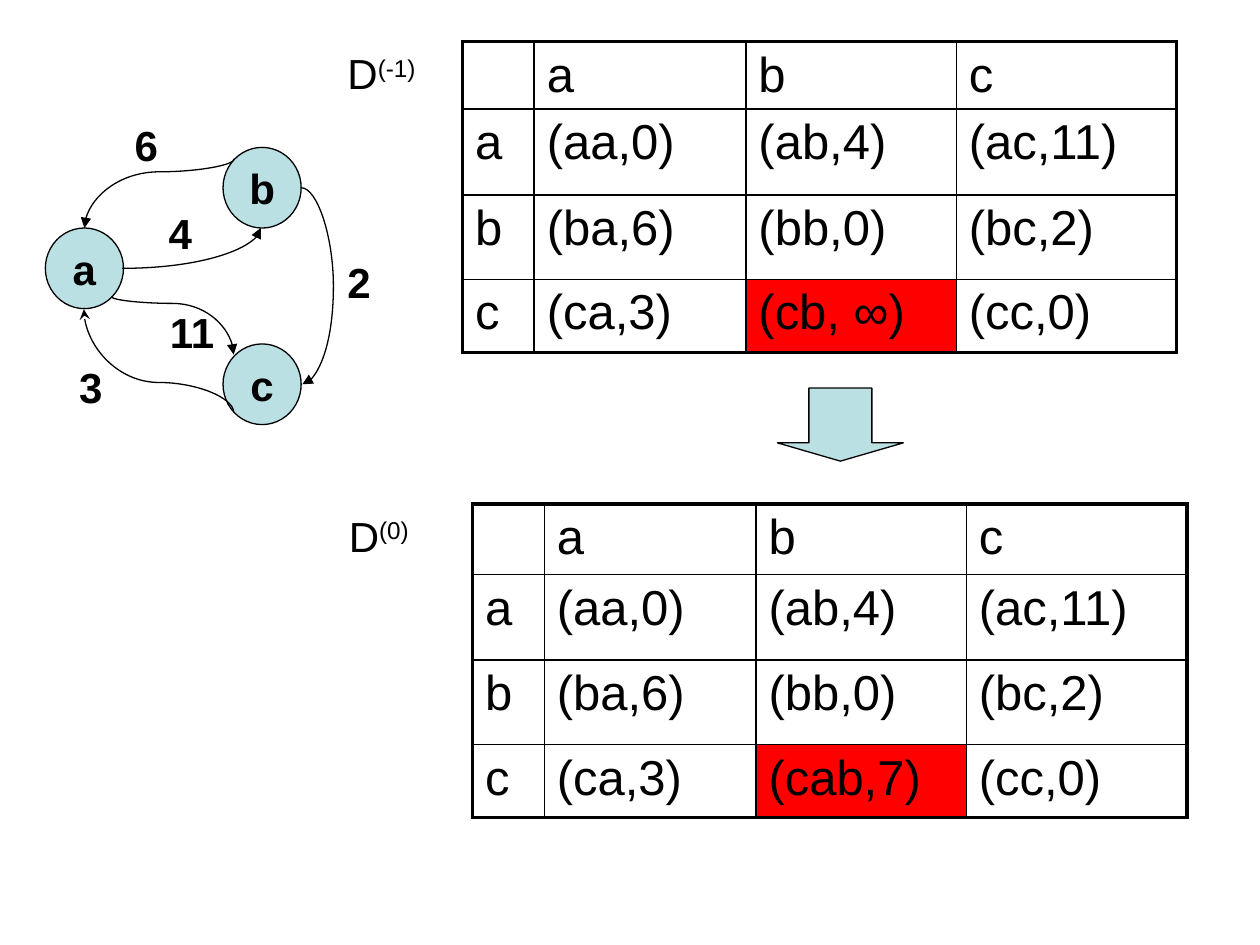
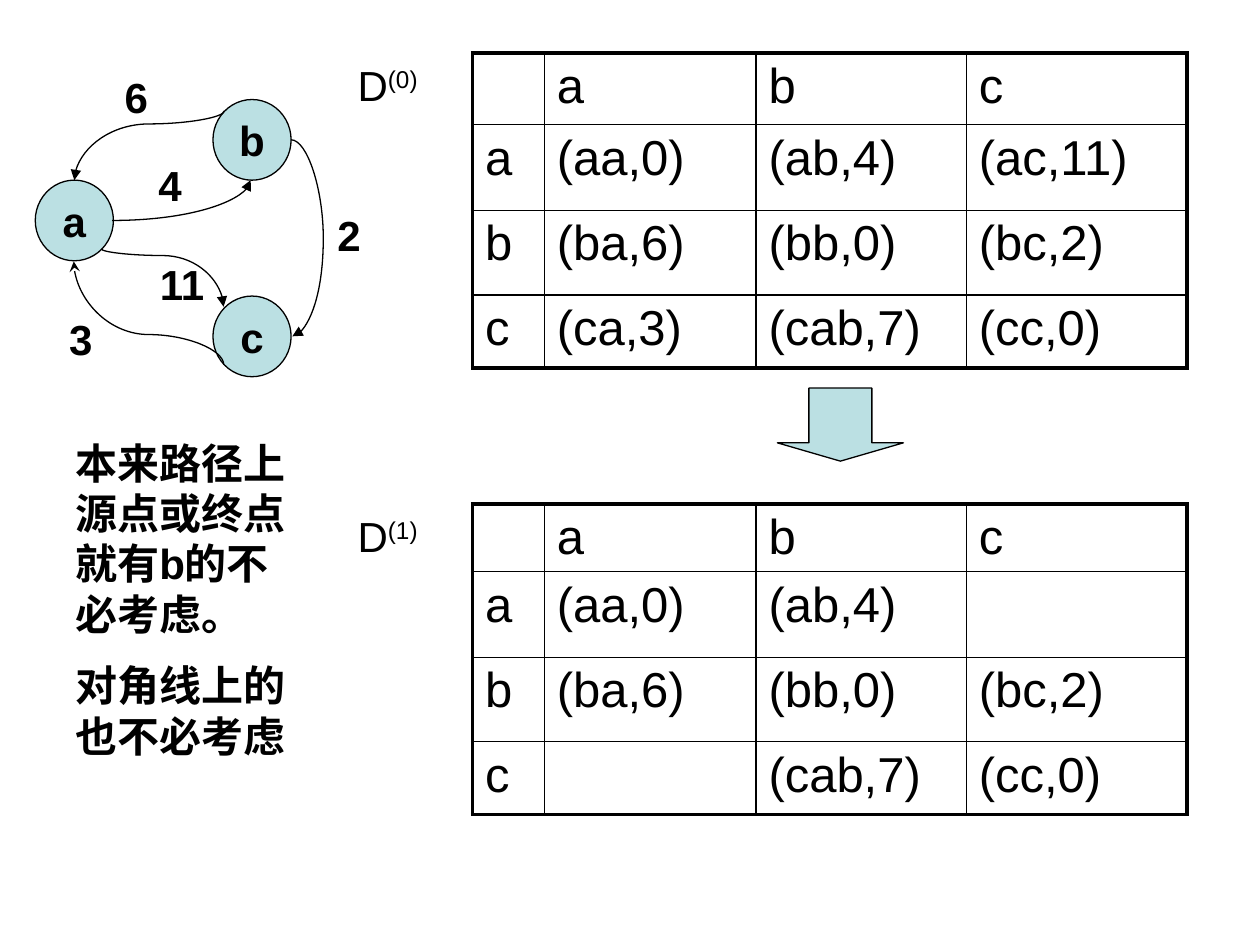
from dataclasses import dataclass
from typing import Optional

from lxml import etree
from pptx import Presentation
from pptx import util as u
from pptx.dml.color import RGBColor
from pptx.enum import shapes, text
from pptx.oxml import ns
from pptx.util import Inches, Pt

COLOURS = {"ink": "000000", "node": "BBE0E3", "changed": "FF0000"}
FONT = "Arial"
BODY_SIZE, CELL_SIZE = 24, 28
THIN, THICK, OUTLINE = 1, 2.25, 0.75
COLUMN_WIDTHS = (0.57, 1.68, 1.67, 1.75)
BODY_ROW_HEIGHTS = (0.68, 0.67, 0.58)
NODE_WIDTH, NODE_HEIGHT = 0.62, 0.64
VERTICES = "abc"


@dataclass(frozen=True)
class Label:
    text: str
    left: float
    top: float
    width: float = 0.53
    height: float = 0.56


@dataclass(frozen=True)
class Edge:
    """Curved arrow; the frame is given before its rotation."""
    left: float
    top: float
    width: float
    height: float
    rotation: int = 0
    flips: str = ""
    bend: Optional[float] = None
    end: str = "tailEnd"
    arrow: str = "triangle"


@dataclass(frozen=True)
class Matrix:
    """Table of shortest paths with its D label."""
    step: str
    label_left: float
    left: float
    top: float
    header_height: float
    rows: list[list[str]]
    changed: Optional[tuple[int, int]] = None


@dataclass(frozen=True)
class Page:
    matrices: list[Matrix]
    graph_offset: tuple[float, float] = (0, 0)
    remarks: tuple[str, ...] = ()


# Graph, placed as on the first slide
NODES = [Label("a", 0.36, 1.81), Label("b", 1.77, 1.17), Label("c", 1.77, 2.73)]
EDGES = [
    Edge(0.97, 1.81, 1.10, 0.32, 0, "V"),
    Edge(0.99, 0.94, 0.55, 1.19, 270, "HV", 0.188),
    Edge(1.14, 2.10, 0.46, 0.97, 270, "H", 0.116),
    Edge(0.85, 2.27, 0.82, 1.19, 270, "H", 0.708, "headEnd", "stealth"),
    Edge(2.39, 1.49, 0.01, 1.56, 0, "", 26),
]
WEIGHTS = [
    Label("11", 1.25, 2.38, 0.61), Label("6", 0.97, 0.90), Label("4", 1.24, 1.60),
    Label("2", 2.66, 1.99), Label("3", 0.53, 2.82),
]


def path_rows(**replaced: str) -> list[list[str]]:
    """Cells of a matrix, with some pairs replaced."""
    paths = {"aa": "(aa,0)", "ab": "(ab,4)", "ac": "(ac,11)",
             "ba": "(ba,6)", "bb": "(bb,0)", "bc": "(bc,2)",
             "ca": "(ca,3)", "cb": "(cab,7)", "cc": "(cc,0)"} | replaced
    return [["", *VERTICES]] + [
        [source] + [paths[source + target] for target in VERTICES] for source in VERTICES]


PAGES = [
    Page([Matrix("(-1)", 2.66, 3.67, 0.33, 0.53, path_rows(cb="(cb, ∞)"), (3, 2)),
          Matrix("(0)", 2.67, 3.75, 4, 0.56, path_rows(), (3, 2))]),
    Page([Matrix("(0)", 2.74, 3.75, 0.42, 0.57, path_rows()),
          Matrix("(1)", 2.74, 3.75, 4, 0.53, path_rows(ac="", ca=""))],
         (-0.08, -0.38),
         ("本来路径上源点或终点就有b的不必考虑。", "对角线上的也不必考虑")),
]


def colour(name: str) -> RGBColor:
    return RGBColor.from_string(COLOURS[name])


def box(left: float, top: float, width: float, height: float) -> list[u.Length]:
    return [Inches(length) for length in (left, top, width, height)]


def format_runs(paragraph, size: float = BODY_SIZE, bold: bool = False) -> None:
    for run in paragraph.runs:
        run.font.name = FONT
        run.font.size = Pt(size)
        run.font.bold = bold
        run.font.color.rgb = colour("ink")


def add_filled_shape(parent, kind, frame: list[u.Length]):
    shape = parent.add_shape(kind, *frame)
    shape.shadow.inherit = False
    shape.fill.solid()
    shape.fill.fore_color.rgb = colour("node")
    shape.line.color.rgb = colour("ink")
    shape.line.width = Pt(OUTLINE)
    return shape


def add_text(parent, frame: list[u.Length], paragraphs: tuple[str, ...], bold: bool = True):
    text_frame = parent.add_textbox(*frame).text_frame
    text_frame.word_wrap = True
    text_frame.text = "\n".join(paragraphs)
    for index, paragraph in enumerate(text_frame.paragraphs):
        if index:
            paragraph.space_before = Pt(BODY_SIZE / 2)
        format_runs(paragraph, bold=bold)
    return text_frame


def add_edge(parent, edge: Edge, dx: float, dy: float) -> None:
    left, top, width, height = box(edge.left + dx, edge.top + dy, edge.width, edge.height)
    connector = parent.add_connector(
        shapes.MSO_CONNECTOR.CURVE, left, top, left + width, top + height)
    connector.line.color.rgb = colour("ink")
    connector.line.width = Pt(OUTLINE)
    properties = connector._element.spPr
    frame = properties.find(ns.qn("a:xfrm"))
    frame.set("rot", str(edge.rotation * 60000))
    for axis in edge.flips:
        frame.set("flip" + axis, "1")

    # Without a bend the curve is a single quarter arc
    geometry = properties.find(ns.qn("a:prstGeom"))
    if edge.bend is None:
        geometry.set("prst", "curvedConnector2")
    else:
        values = geometry.find(ns.qn("a:avLst"))
        if values is None:
            values = etree.SubElement(geometry, ns.qn("a:avLst"))
        etree.SubElement(values, ns.qn("a:gd"), name="adj1",
                         fmla=f"val {round(edge.bend * 100000)}")
    line = properties.find(ns.qn("a:ln"))
    etree.SubElement(line, ns.qn(f"a:{edge.end}"), type=edge.arrow)
    etree.SubElement(properties, ns.qn("a:effectLst"))


def add_graph(slide, offset: tuple[float, float]) -> None:
    dx, dy = offset
    group = slide.shapes.add_group_shape().shapes
    for node in NODES:
        shape = add_filled_shape(group, shapes.MSO_SHAPE.OVAL, box(
            node.left + dx, node.top + dy, NODE_WIDTH, NODE_HEIGHT))
        text_frame = shape.text_frame
        text_frame.word_wrap = False
        text_frame.vertical_anchor = text.MSO_ANCHOR.MIDDLE
        text_frame.text = node.text
        text_frame.paragraphs[0].alignment = text.PP_ALIGN.CENTER
        format_runs(text_frame.paragraphs[0], bold=True)
    for edge in EDGES:
        add_edge(group, edge, dx, dy)
    for weight in WEIGHTS:
        add_text(group, box(weight.left + dx, weight.top + dy, weight.width, weight.height),
                 (weight.text,))


def set_borders(cell, outer_sides: dict[str, bool]) -> None:
    properties = cell._tc.get_or_add_tcPr()
    for side, is_outer in outer_sides.items():
        width = Pt(THICK if is_outer else THIN)
        line = etree.SubElement(properties, ns.qn(f"a:ln{side}"), w=str(int(width)))
        fill = etree.SubElement(line, ns.qn("a:solidFill"))
        etree.SubElement(fill, ns.qn("a:srgbClr"), val=COLOURS["ink"])


def add_matrix(slide, matrix: Matrix) -> None:
    # Label with a raised step number
    text_frame = add_text(slide.shapes, box(matrix.label_left, matrix.top, 1, 0.5), ("D",), False)
    paragraph = text_frame.paragraphs[0]
    step = paragraph.add_run()
    step.text = matrix.step
    format_runs(paragraph)
    step._r.get_or_add_rPr().set("baseline", "30000")

    # Table
    row_heights = (matrix.header_height, *BODY_ROW_HEIGHTS)
    last = len(VERTICES)
    table = slide.shapes.add_table(last + 1, last + 1, *box(
        matrix.left, matrix.top, sum(COLUMN_WIDTHS), sum(row_heights))).table
    table.first_row = table.horz_banding = False
    for column, width in zip(table.columns, COLUMN_WIDTHS):
        column.width = Inches(width)
    for row_index, (height, values) in enumerate(zip(row_heights, matrix.rows)):
        table.rows[row_index].height = Inches(height)
        for column_index, value in enumerate(values):
            cell = table.cell(row_index, column_index)
            cell.margin_bottom = Inches(0.02)
            cell.text = value
            format_runs(cell.text_frame.paragraphs[0], CELL_SIZE)
            set_borders(cell, {"L": column_index == 0, "R": column_index == last,
                               "T": row_index == 0, "B": row_index == last})
            if (row_index, column_index) == matrix.changed:
                cell.fill.solid()
                cell.fill.fore_color.rgb = colour("changed")
            else:
                cell.fill.background()


def add_page(presentation, page: Page) -> None:
    slide = presentation.slides.add_slide(presentation.slide_layouts[6])
    for matrix in page.matrices:
        add_matrix(slide, matrix)
    arrow = add_filled_shape(slide.shapes, shapes.MSO_SHAPE.DOWN_ARROW, box(6.17, 3.08, 1, 0.58))
    arrow.adjustments[0], arrow.adjustments[1] = 0.5, 0.25
    if page.remarks:
        add_text(slide.shapes, box(0.5, 3.42, 2, 2.73), page.remarks)
    add_graph(slide, page.graph_offset)


def main() -> None:
    presentation = Presentation()
    presentation.slide_width = Inches(10)
    presentation.slide_height = Inches(7.5)
    for page in PAGES:
        add_page(presentation, page)
    presentation.save("out.pptx")


if __name__ == "__main__":
    main()
